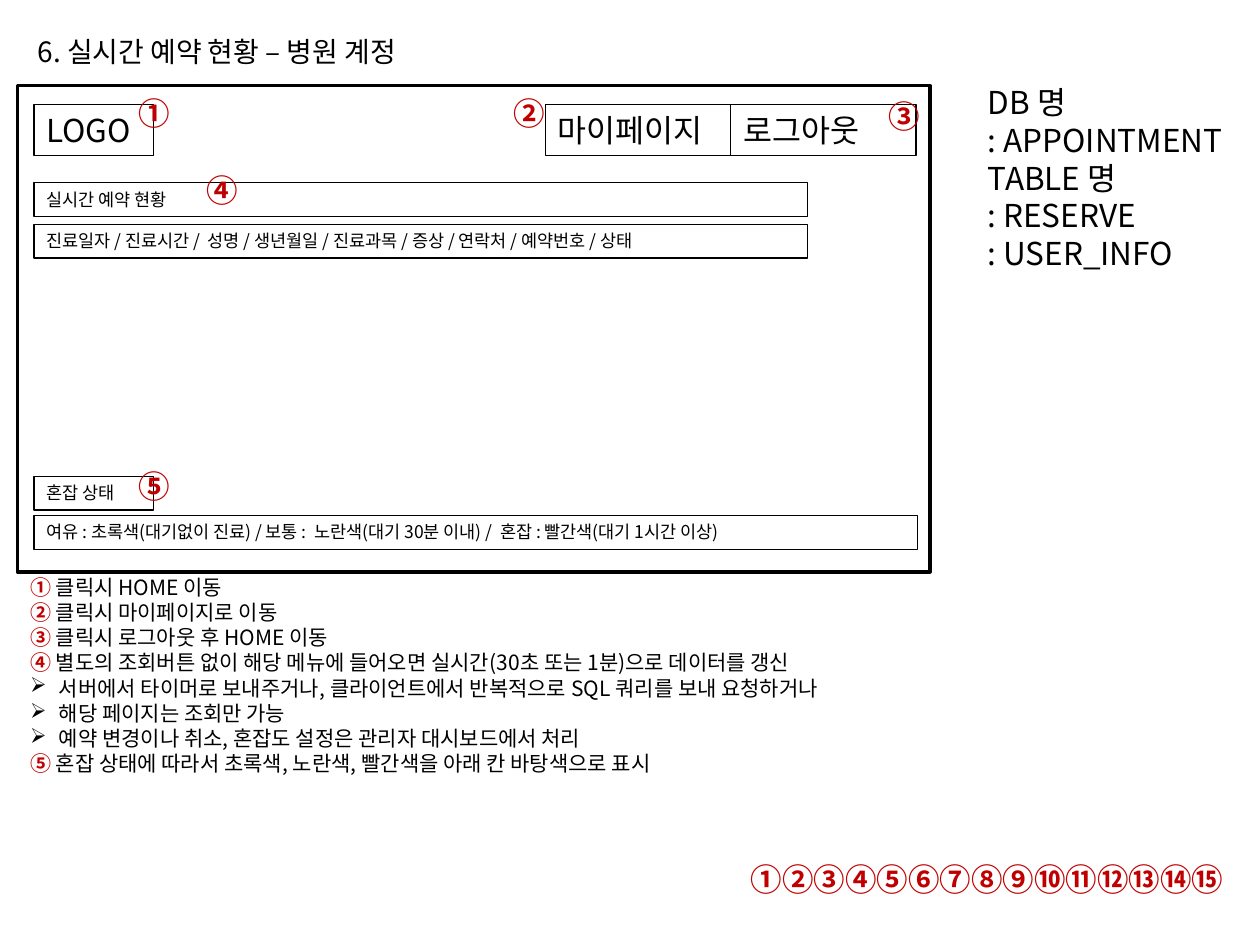
import pptx
import pptx.dml.color
import pptx.enum.shapes
import pptx.enum.text
import pptx.oxml
import pptx.oxml.ns
import pptx.util

Pt = pptx.util.Pt
FONT = "Noto Sans CJK KR"
BLACK, RED, WHITE = "000000", "C00000", "FFFFFF"
LINE_HEIGHT = 1.2
BULLET_INDENT = 16.5
SMALL, LARGE = 10, 18

TITLE = "6. 실시간 예약 현황 – 병원 계정"
SCREEN = (10.08, 48.96, 521.28, 277.92)

# text, left, top, width, height, font size
LEFT, LOGO_WIDTH, BAR_WIDTH = 19.44, 68.4, 442.08
MENU_LEFT, MENU_WIDTH, MENU_TOP = 311.76, 105.84, 59.76
FIELDS = [
    ("LOGO", LEFT, MENU_TOP, LOGO_WIDTH, 29, LARGE),
    ("마이페이지", MENU_LEFT, MENU_TOP, MENU_WIDTH, 29, LARGE),
    ("로그아웃", MENU_LEFT + MENU_WIDTH, MENU_TOP, MENU_WIDTH, 29, LARGE),
    ("실시간 예약 현황", LEFT, 104.4, BAR_WIDTH, 19.4, SMALL),
    ("진료일자 / 진료시간 /  성명 / 생년월일 / 진료과목 / 증상 / 연락처 / 예약번호 / 상태",
     LEFT, 128.16, BAR_WIDTH, 19.4, SMALL),
    ("혼잡 상태", LEFT, 272.16, LOGO_WIDTH, 19.4, SMALL),
    ("여유 : 초록색(대기없이 진료) / 보통 :  노란색(대기 30분 이내) /  혼잡 : 빨간색(대기 1시간 이상)",
     LEFT, 294.48, 504.72, 19.4, SMALL),
]

MARKERS = [("①", 72, 50.4), ("②", 286.56, 50.4), ("③", 500.4, 51.84),
           ("④", 110.88, 94.32), ("⑤", 72, 263.52)]

# marker ("➢" is a bullet), explanation
NOTES = [
    ("①", "클릭시 HOME 이동"),
    ("②", "클릭시 마이페이지로 이동"),
    ("③", "클릭시 로그아웃 후 HOME 이동"),
    ("④", "별도의 조회버튼 없이 해당 메뉴에 들어오면 실시간(30초 또는 1분)으로 데이터를 갱신"),
    ("➢", "서버에서 타이머로 보내주거나, 클라이언트에서 반복적으로 SQL 쿼리를 보내 요청하거나"),
    ("➢", "해당 페이지는 조회만 가능"),
    ("➢", "예약 변경이나 취소, 혼잡도 설정은 관리자 대시보드에서 처리"),
    ("⑤", "혼잡 상태에 따라서 초록색, 노란색, 빨간색을 아래 칸 바탕색으로 표시"),
]
DATABASE = ["DB 명", ": APPOINTMENT", "TABLE 명", ": RESERVE", ": USER_INFO"]
ALL_MARKERS = "①②③④⑤⑥⑦⑧⑨⑩⑪⑫⑬⑭⑮"


def rgb(color):
    return pptx.dml.color.RGBColor.from_string(color)


def style_run(run, size, color, bold):
    run.font.size = Pt(size)
    run.font.name = FONT
    run.font.bold = bold
    run.font.color.rgb = rgb(color)
    east_asian = pptx.oxml.parse_xml(
        f'<a:ea {pptx.oxml.ns.nsdecls("a")} typeface="{FONT}"/>')
    run.font._element.find(pptx.oxml.ns.qn("a:latin")).addnext(east_asian)


def style_paragraph(paragraph, size, color=BLACK, bold=False):
    paragraph.alignment = pptx.enum.text.PP_ALIGN.LEFT
    paragraph.line_spacing = Pt(size * LINE_HEIGHT)
    for run in paragraph.runs:
        style_run(run, size, color, bold)


def add_bullet(paragraph, character):
    properties = paragraph._p.get_or_add_pPr()
    properties.set("marL", str(Pt(BULLET_INDENT)))
    properties.set("indent", str(-Pt(BULLET_INDENT)))
    properties.append(pptx.oxml.parse_xml(
        f'<a:buChar {pptx.oxml.ns.nsdecls("a")} char="{character}"/>'))


def add_box(slide, left, top, width, height, line_width):
    box = slide.shapes.add_shape(pptx.enum.shapes.MSO_SHAPE.RECTANGLE,
                                 Pt(left), Pt(top), Pt(width), Pt(height))
    box.shadow.inherit = False
    box.fill.solid()
    box.fill.fore_color.rgb = rgb(WHITE)
    box.line.color.rgb = rgb(BLACK)
    box.line.width = Pt(line_width)
    return box


def write(shape, text, size, color=BLACK, bold=False, wrap=True,
          anchor=pptx.enum.text.MSO_ANCHOR.TOP):
    frame = shape.text_frame
    frame.word_wrap = wrap
    frame.vertical_anchor = anchor
    frame.text = text
    for paragraph in frame.paragraphs:
        style_paragraph(paragraph, size, color, bold)


def add_label(slide, left, top, width, height):
    return slide.shapes.add_textbox(Pt(left), Pt(top), Pt(width), Pt(height))


def add_notes_list(slide):
    frame = add_label(slide, 10.08, 324.72, 554.4, 122.4).text_frame
    frame.word_wrap = True
    for index, (marker, explanation) in enumerate(NOTES):
        paragraph = frame.add_paragraph() if index else frame.paragraphs[0]
        if marker == "➢":
            paragraph.text = explanation
            style_paragraph(paragraph, 12)
            add_bullet(paragraph, marker)
        else:
            paragraph.text = marker + " "
            paragraph.add_run().text = explanation
            style_paragraph(paragraph, 12)
            number = paragraph.runs[0]
            number.font.bold = True
            number.font.color.rgb = rgb(RED)


def main():
    presentation = pptx.Presentation()
    presentation.slide_width, presentation.slide_height = Pt(720), Pt(540)
    slide = presentation.slides.add_slide(presentation.slide_layouts[6])

    write(add_label(slide, 14.4, 15.12, 303.12, 28.08), TITLE, 16,
          anchor=pptx.enum.text.MSO_ANCHOR.MIDDLE)
    add_box(slide, *SCREEN, 2)
    add_notes_list(slide)
    write(add_label(slide, 421.92, 488.16, 284.4, 28.8), ALL_MARKERS, LARGE,
          RED, bold=True, wrap=False)
    write(add_label(slide, 557.28, 43.92, 151.2, 115.2), "\n".join(DATABASE),
          LARGE, wrap=False)
    for text, left, top, width, height, size in FIELDS:
        write(add_box(slide, left, top, width, height, 0.75), text, size)
    for marker, left, top in MARKERS:
        write(add_label(slide, left, top, 32.4, 28.8), marker, LARGE,
              RED, bold=True, wrap=False)
    presentation.save("out.pptx")


if __name__ == "__main__":
    main()
